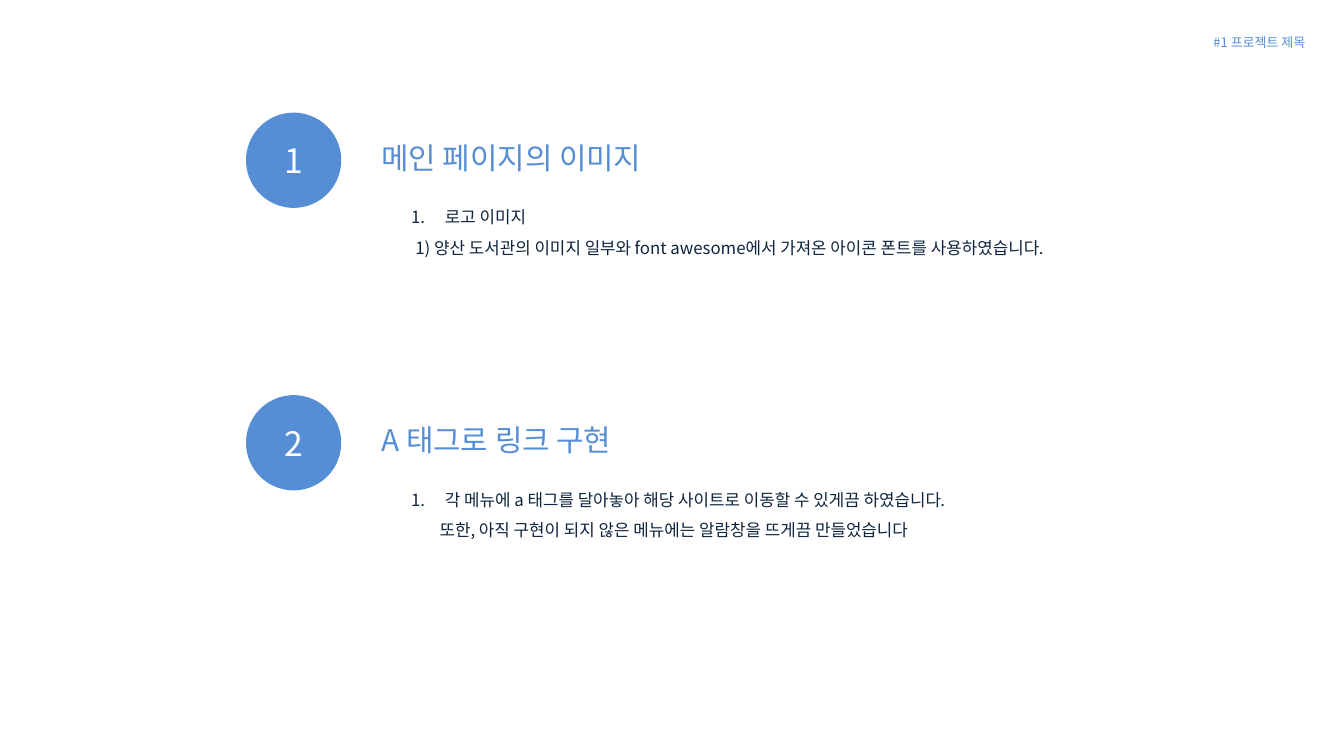
import pptx
import pptx.dml.color
import pptx.enum.shapes
import pptx.enum.text
import pptx.oxml.ns
import pptx.util
import lxml.etree

Cm = pptx.util.Cm
Align = pptx.enum.text.PP_ALIGN
BLUE = pptx.dml.color.RGBColor(0x55, 0x8E, 0xD5)
NAVY = pptx.dml.color.RGBColor(0x0F, 0x24, 0x3E)
WHITE = pptx.dml.color.RGBColor(0xFF, 0xFF, 0xFF)
FONT = "Noto Sans CJK KR"

# number, heading, numbered line, follow-on line, its indent in cm
ITEMS = [
    ("1", "메인 페이지의 이미지", "로고 이미지",
     "1) 양산 도서관의 이미지 일부와 font awesome에서 가져온 아이콘 폰트를 사용하였습니다.", 0.08),
    ("2", "A 태그로 링크 구현",
     "각 메뉴에 a 태그를 달아놓아 해당 사이트로 이동할 수 있게끔 하였습니다.",
     "또한, 아직 구현이 되지 않은 메뉴에는 알람창을 뜨게끔 만들었습니다", 0.54),
]


def style(frame, size, color, align=Align.LEFT):
    for para in frame.paragraphs:
        para.alignment = align
        for run in para.runs:
            run.font.size = pptx.util.Pt(size)
            run.font.name = FONT
            run.font.color.rgb = color
            east = lxml.etree.SubElement(run.font._element, pptx.oxml.ns.qn("a:ea"))
            east.set("typeface", FONT)


def add_text(slide, box, text, size, color, align=Align.LEFT):
    frame = slide.shapes.add_textbox(*map(Cm, box)).text_frame
    frame.word_wrap = True
    frame.text = text
    style(frame, size, color, align)
    return frame


def add_badge(slide, box, text):
    badge = slide.shapes.add_shape(
        pptx.enum.shapes.MSO_SHAPE.OVAL, *map(Cm, box))
    badge.shadow.inherit = False
    badge.fill.solid()
    badge.fill.fore_color.rgb = BLUE
    badge.line.fill.background()
    frame = badge.text_frame
    frame.vertical_anchor = pptx.enum.text.MSO_ANCHOR.MIDDLE
    frame.text = text
    style(frame, 18, WHITE, Align.CENTER)


def indent(para, left, first=0):
    props = para._p.get_or_add_pPr()
    props.set("marL", str(Cm(left)))
    props.set("indent", str(Cm(first)))
    return props


def add_item(slide, box, item):
    left, top, width, _ = box
    number, title, lead, more, inset = item
    add_badge(slide, (left, top, 1.8, 1.8), number)
    add_text(slide, (left + 2.31, top + 0.38, width - 2.31, 0.94), title, 16, BLUE)
    body = add_text(slide, (left + 2.87, top + 1.47, width - 2.87, 1.35),
                    lead + "\n" + more, 9, NAVY)
    for para in body.paragraphs:
        para.line_spacing = 1.5
    first, second = body.paragraphs
    mark = lxml.etree.SubElement(indent(first, 0.64, -0.64),
                                 pptx.oxml.ns.qn("a:buAutoNum"))
    mark.set("type", "arabicPeriod")
    indent(second, inset)


def main():
    deck = pptx.Presentation()
    deck.slide_width, deck.slide_height = Cm(25.4), Cm(14.29)
    slide = deck.slides.add_slide(deck.slide_layouts[6])
    for row, item in enumerate(ITEMS):
        add_item(slide, (4.65, 2.13 + row * 5.34, 16.46, 2.82), item)
    add_text(slide, (21.5, 0.53, 3.42, 0.56), "#1 프로젝트 제목", 7, BLUE, Align.RIGHT)
    deck.save("out.pptx")


if __name__ == "__main__":
    main()
